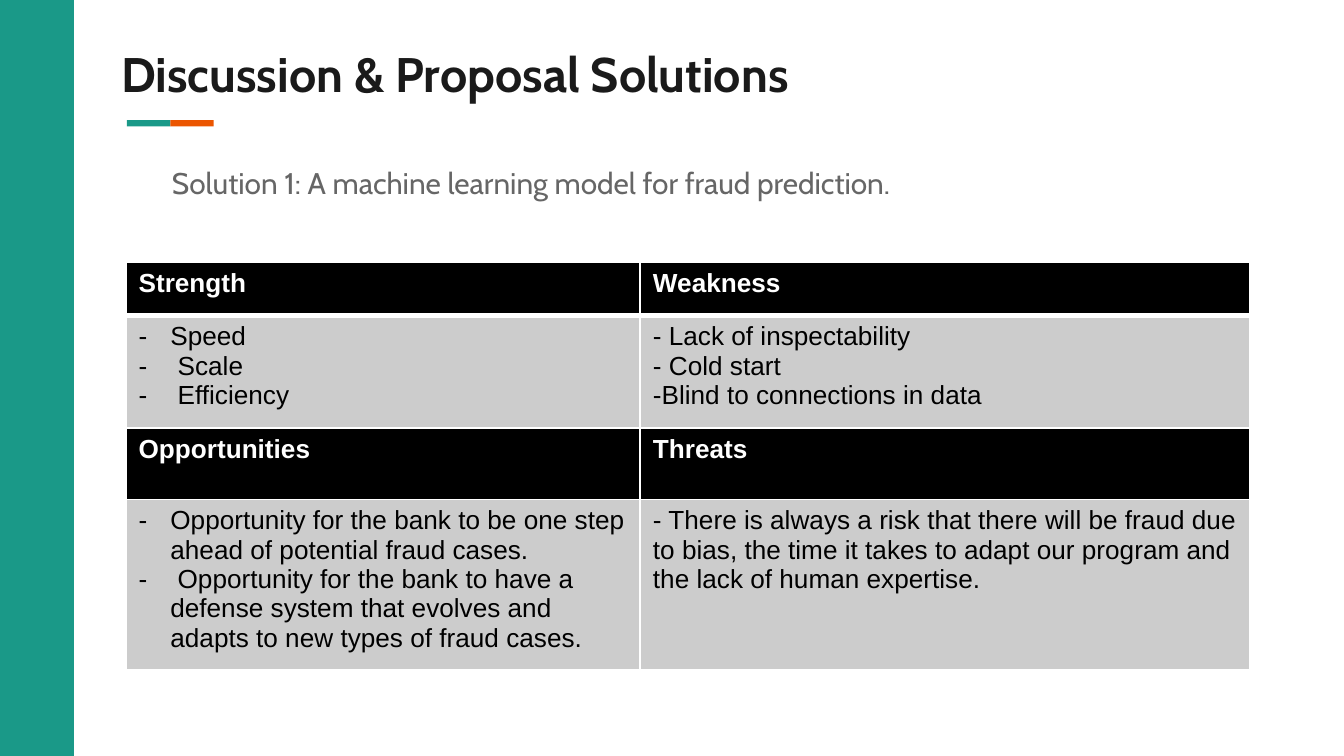
from dataclasses import dataclass

from lxml import etree
from pptx import Presentation
from pptx.dml.color import RGBColor
from pptx.enum.shapes import MSO_SHAPE
from pptx.enum.text import MSO_ANCHOR
from pptx.oxml.ns import qn
from pptx.util import Cm, Pt

RECTANGLE = MSO_SHAPE.RECTANGLE
TOP = MSO_ANCHOR.TOP
TEAL = RGBColor(0x1A, 0x99, 0x88)
ORANGE = RGBColor(0xEB, 0x55, 0x00)
INK = RGBColor(0x1A, 0x1A, 0x1A)
GRAY = RGBColor(0x66, 0x66, 0x66)
LIGHT_GRAY = RGBColor(0xCC, 0xCC, 0xCC)
BLACK = RGBColor(0, 0, 0)
WHITE = RGBColor(0xFF, 0xFF, 0xFF)

SLIDE_WIDTH, SLIDE_HEIGHT = 25.4, 14.29
COLUMN_WIDTHS = (9.72, 11.52)
ROW_HEIGHTS = (1.01, 2.13, 1.35, 3.02)
CELL_MARGIN = 0.24
HANGING = 0.6
THIN, THICK = 1, 3


@dataclass(frozen=True)
class Bar:
    left: float
    top: float
    width: float
    height: float
    color: RGBColor


@dataclass(frozen=True)
class Caption:
    text: str
    left: float
    top: float
    width: float
    height: float
    size: int
    color: RGBColor
    bold: bool = False
    margin: float = 0
    indent: float = 0


@dataclass(frozen=True)
class Quadrant:
    heading: str
    points: tuple[str, ...]
    row: int
    column: int
    hanging: float = 0
    bulleted: bool = True


BARS = (
    Bar(0, 0, 1.4, SLIDE_HEIGHT, TEAL),
    Bar(2.4, 2.27, 0.82, 0.12, TEAL),
    Bar(3.22, 2.27, 0.82, 0.12, ORANGE),
)
CAPTIONS = (
    Caption("Discussion & Proposal Solutions", 2.29, 0.84, 20.83, 1.12, 26, INK, bold=True),
    Caption("Solution 1: A machine learning model for fraud prediction.",
            2.62, 3.12, 18.72, 1.37, 16, GRAY, margin=1.27, indent=-0.64),
)
QUADRANTS = (
    Quadrant("Strength", ("Speed", " Scale", " Efficiency"), 0, 0, HANGING),
    Quadrant("Weakness",
             (" Lack of inspectability", " Cold start", "Blind to connections in data"), 0, 1),
    Quadrant("Opportunities",
             ("Opportunity for the bank to be one step ahead of potential fraud cases.",
              " Opportunity for the bank to have a defense system that evolves and adapts"
              " to new types of fraud cases."), 2, 0, HANGING),
    Quadrant("Threats",
             ("- There is always a risk that there will be fraud due to bias, the time it takes"
              " to adapt our program and the lack of human expertise.",), 2, 1, bulleted=False),
)


def write_text(paragraph, text: str, *, font: str, size: int, color: RGBColor,
               bold: bool = False, margin: float = 0, indent: float = 0,
               bullet: str = "") -> None:
    run = paragraph.add_run()
    run.text = text
    run.font.name = font
    run.font.size = Pt(size)
    run.font.bold = bold
    run.font.color.rgb = color
    properties = paragraph._p.get_or_add_pPr()
    properties.set("marL", str(Cm(margin)))
    properties.set("indent", str(Cm(indent)))
    if bullet:
        bullet_color = etree.SubElement(properties, qn("a:buClr"))
        etree.SubElement(bullet_color, qn("a:srgbClr"), val=str(color))
        etree.SubElement(properties, qn("a:buFont"), typeface=font)
        etree.SubElement(properties, qn("a:buChar"), char=bullet)


def add_bar(slide, bar: Bar) -> None:
    shape = slide.shapes.add_shape(
        RECTANGLE, Cm(bar.left), Cm(bar.top), Cm(bar.width), Cm(bar.height))
    shape.shadow.inherit = False
    shape.fill.solid()
    shape.fill.fore_color.rgb = bar.color
    shape.line.fill.background()


def add_caption(slide, caption: Caption) -> None:
    box = slide.shapes.add_textbox(
        Cm(caption.left), Cm(caption.top), Cm(caption.width), Cm(caption.height))
    frame = box.text_frame
    frame.word_wrap = True
    frame.vertical_anchor = TOP
    frame.margin_left = frame.margin_right = frame.margin_top = frame.margin_bottom = 0
    write_text(frame.paragraphs[0], caption.text, font="Cabin", size=caption.size,
               color=caption.color, bold=caption.bold, margin=caption.margin,
               indent=caption.indent)


def style_cell(cell, fill: RGBColor, top_width: int, bottom_width: int) -> None:
    cell.margin_left = cell.margin_right = Cm(CELL_MARGIN)
    cell.vertical_anchor = TOP
    properties = cell._tc.get_or_add_tcPr()
    borders = {"a:lnL": THIN, "a:lnR": THIN, "a:lnT": top_width, "a:lnB": bottom_width}
    for tag, width in borders.items():
        line = etree.SubElement(properties, qn(tag), w=str(Pt(width)))
        line_fill = etree.SubElement(line, qn("a:solidFill"))
        etree.SubElement(line_fill, qn("a:srgbClr"), val=str(WHITE))
    cell.fill.solid()
    cell.fill.fore_color.rgb = fill


def fill_quadrant(table, quadrant: Quadrant) -> None:
    divider = THICK if quadrant.row == 0 else THIN
    heading = table.cell(quadrant.row, quadrant.column)
    style_cell(heading, BLACK, THIN, divider)
    write_text(heading.text_frame.paragraphs[0], quadrant.heading,
               font="Arial", size=14, color=WHITE, bold=True)
    body = table.cell(quadrant.row + 1, quadrant.column)
    style_cell(body, LIGHT_GRAY, divider, THIN)
    frame = body.text_frame
    for index, point in enumerate(quadrant.points):
        paragraph = frame.add_paragraph() if index else frame.paragraphs[0]
        write_text(paragraph, point, font="Arial", size=14, color=BLACK,
                   margin=quadrant.hanging, indent=-quadrant.hanging,
                   bullet="-" if quadrant.bulleted else "")


def add_swot_table(slide) -> None:
    table = slide.shapes.add_table(
        len(ROW_HEIGHTS), len(COLUMN_WIDTHS), Cm(2.38), Cm(4.95),
        Cm(sum(COLUMN_WIDTHS)), Cm(sum(ROW_HEIGHTS))).table
    table.first_row = False
    table.horz_banding = False
    for column, width in zip(table.columns, COLUMN_WIDTHS):
        column.width = Cm(width)
    for row, height in zip(table.rows, ROW_HEIGHTS):
        row.height = Cm(height)
    for quadrant in QUADRANTS:
        fill_quadrant(table, quadrant)


def main() -> None:
    presentation = Presentation()
    presentation.slide_width = Cm(SLIDE_WIDTH)
    presentation.slide_height = Cm(SLIDE_HEIGHT)
    slide = presentation.slides.add_slide(presentation.slide_layouts[6])
    for bar in BARS:
        add_bar(slide, bar)
    for caption in CAPTIONS:
        add_caption(slide, caption)
    add_swot_table(slide)
    presentation.save("out.pptx")


if __name__ == "__main__":
    main()
